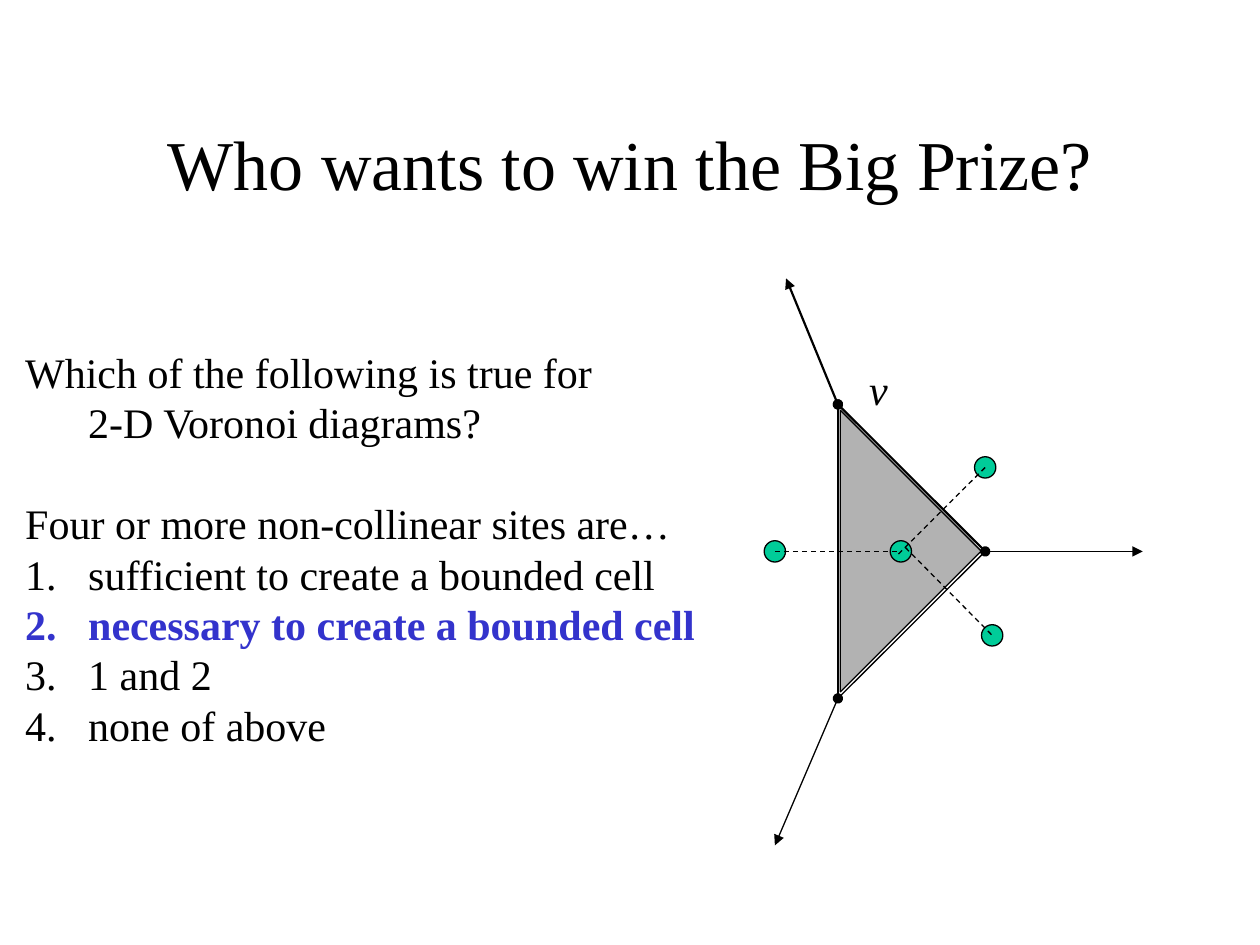
"""Build a quiz slide about bounded cells in 2-D Voronoi diagrams."""
from dataclasses import dataclass

from lxml import etree
from pptx import Presentation
from pptx.dml.color import RGBColor
from pptx.enum.dml import MSO_LINE
from pptx.enum.shapes import MSO_CONNECTOR, MSO_SHAPE
from pptx.enum.text import MSO_ANCHOR, MSO_AUTO_SIZE, PP_ALIGN
from pptx.oxml.ns import qn
from pptx.util import Pt

DASH = MSO_LINE.DASH
STRAIGHT = MSO_CONNECTOR.STRAIGHT
OVAL, RIGHT_TRIANGLE = MSO_SHAPE.OVAL, MSO_SHAPE.RIGHT_TRIANGLE
TOP, MIDDLE = MSO_ANCHOR.TOP, MSO_ANCHOR.MIDDLE
NO_AUTOFIT = MSO_AUTO_SIZE.NONE
LEFT, CENTER = PP_ALIGN.LEFT, PP_ALIGN.CENTER

FONT = "Times New Roman"
BLACK, BLUE, GREEN, GRAY = "000000", "3333CC", "00CC99", "B2B2B2"
LINE_PITCH = 28.8
INDENT = 36
SITE_SIZE = 12.2
CELL_SIZE = 113.8


@dataclass
class Edge:
    start: tuple[float, float]
    end: tuple[float, float]
    width: float = 0.75
    head: str = ""
    tail: str = ""
    dashed: bool = False


@dataclass
class Statement:
    text: str
    numbered: bool = False
    color: str = BLACK
    bold: bool = False
    space_before: float = 0


TOP_VERTEX = (478.8, 231.1)
RIGHT_VERTEX = (563, 315.1)
BOTTOM_VERTEX = (478.8, 399.1)
CELL_CENTER = (480.2, 314.9)

SITES = [(442.8, 315.1), (514.8, 315.1), (563, 267.1), (567, 363.1)]

EDGES = [
    Edge(SITES[0], SITES[1], dashed=True),
    Edge((513.4, 316.6), SITES[2], dashed=True),
    Edge((517.4, 312.9), SITES[3], dashed=True),
    Edge(TOP_VERTEX, BOTTOM_VERTEX, 1.25),
    Edge(TOP_VERTEX, (449.2, 159.1), 1.25, "oval", "triangle"),
    Edge(TOP_VERTEX, RIGHT_VERTEX, 1.25, "oval", "oval"),
    Edge(RIGHT_VERTEX, BOTTOM_VERTEX, tail="oval"),
    Edge(BOTTOM_VERTEX, (442.8, 483.1), tail="triangle"),
    Edge(RIGHT_VERTEX, (653, 315.1), tail="triangle"),
]

STATEMENTS = [
    Statement("Which of the following is true for\v2-D Voronoi diagrams?"),
    Statement("Four or more non-collinear sites are…", space_before=LINE_PITCH),
    Statement("sufficient to create a bounded cell", True),
    Statement("necessary to create a bounded cell", True, BLUE, True),
    Statement("1 and 2", True),
    Statement("none of above", True),
]


def rgb(color: str) -> RGBColor:
    """Turn a hex string into a colour."""
    return RGBColor.from_string(color)


def place(box, left: float, top: float, width: float, height: float) -> None:
    """Move and size a shape in points."""
    box.left, box.top, box.width, box.height = map(Pt, (left, top, width, height))


def style_runs(paragraph, size: float, color: str = BLACK,
               bold: bool = False, italic: bool = False) -> None:
    """Format all runs of a paragraph."""
    for run in paragraph.runs:
        run.font.name, run.font.size = FONT, Pt(size)
        run.font.bold, run.font.italic = bold, italic
        run.font.color.rgb = rgb(color)


def draw_centered(slide, preset, center: tuple[float, float], size: float,
                  fill: str, rotation: float = 0) -> None:
    """Draw a thinly outlined shape around its centre."""
    x, y = center
    figure = slide.shapes.add_shape(
        preset, Pt(x - size / 2), Pt(y - size / 2), Pt(size), Pt(size))
    figure.rotation = rotation
    figure.shadow.inherit = False
    figure.fill.solid()
    figure.fill.fore_color.rgb = rgb(fill)
    figure.line.color.rgb = rgb(BLACK)
    figure.line.width = Pt(0.75)


def draw_edge(slide, edge: Edge) -> None:
    """Draw a straight line with optional dashes and end marks."""
    connector = slide.shapes.add_connector(
        STRAIGHT, *map(Pt, edge.start + edge.end))
    connector.line.color.rgb = rgb(BLACK)
    connector.line.width = Pt(edge.width)
    if edge.dashed:
        connector.line.dash_style = DASH
    properties = connector._element.spPr
    outline = properties.find(qn("a:ln"))
    for tag, mark in (("a:headEnd", edge.head), ("a:tailEnd", edge.tail)):
        if mark:
            etree.SubElement(outline, qn(tag), type=mark)
    etree.SubElement(properties, qn("a:effectLst"))


def write_statement(paragraph, statement: Statement) -> None:
    """Write one hanging paragraph, numbered if it is an answer."""
    paragraph.text = statement.text
    paragraph.alignment = LEFT
    paragraph.line_spacing = Pt(LINE_PITCH)
    paragraph.space_before = Pt(statement.space_before)
    style_runs(paragraph, 24, statement.color, statement.bold)
    layout = paragraph._p.get_or_add_pPr()
    layout.set("marL", str(Pt(INDENT)))
    layout.set("indent", str(Pt(-INDENT)))
    if statement.numbered:
        marker = etree.SubElement(layout, qn("a:buClr"))
        etree.SubElement(marker, qn("a:srgbClr"), val=statement.color)
        etree.SubElement(layout, qn("a:buFont"), typeface=FONT)
        etree.SubElement(layout, qn("a:buAutoNum"), type="arabicPeriod")
    else:
        etree.SubElement(layout, qn("a:buNone"))


def write_title(title) -> None:
    """Fill the title placeholder."""
    place(title, 54, 48, 612, 90)
    frame = title.text_frame
    frame.text = "Who wants to win the Big Prize?"
    frame.auto_size, frame.vertical_anchor = NO_AUTOFIT, MIDDLE
    frame.paragraphs[0].alignment = CENTER
    style_runs(frame.paragraphs[0], 40)


def write_question(question) -> None:
    """Fill the body placeholder with the question and its answers."""
    place(question, 7.2, 194.4, 455, 237.6)
    frame = question.text_frame
    frame.auto_size, frame.vertical_anchor = NO_AUTOFIT, TOP
    frame.word_wrap = True
    for number, statement in enumerate(STATEMENTS):
        paragraph = frame.add_paragraph() if number else frame.paragraphs[0]
        write_statement(paragraph, statement)


def label_vertex(slide) -> None:
    """Write the name of the top vertex."""
    label = slide.shapes.add_textbox(Pt(489.6), Pt(204.2), Pt(25.2), Pt(36))
    label.text_frame.word_wrap = True
    name = label.text_frame.paragraphs[0]
    name.text = "v"
    name.line_spacing = Pt(LINE_PITCH)
    style_runs(name, 24, italic=True)


def main() -> None:
    """Build and save the slide."""
    deck = Presentation()
    deck.slide_width, deck.slide_height = Pt(720), Pt(540)
    slide = deck.slides.add_slide(deck.slide_layouts[1])
    write_title(slide.shapes.title)
    write_question(slide.placeholders[1])
    draw_centered(slide, RIGHT_TRIANGLE, CELL_CENTER, CELL_SIZE, GRAY, 225)
    for site in SITES:
        draw_centered(slide, OVAL, site, SITE_SIZE, GREEN)
    for edge in EDGES:
        draw_edge(slide, edge)
    label_vertex(slide)
    deck.save("out.pptx")


if __name__ == "__main__":
    main()
